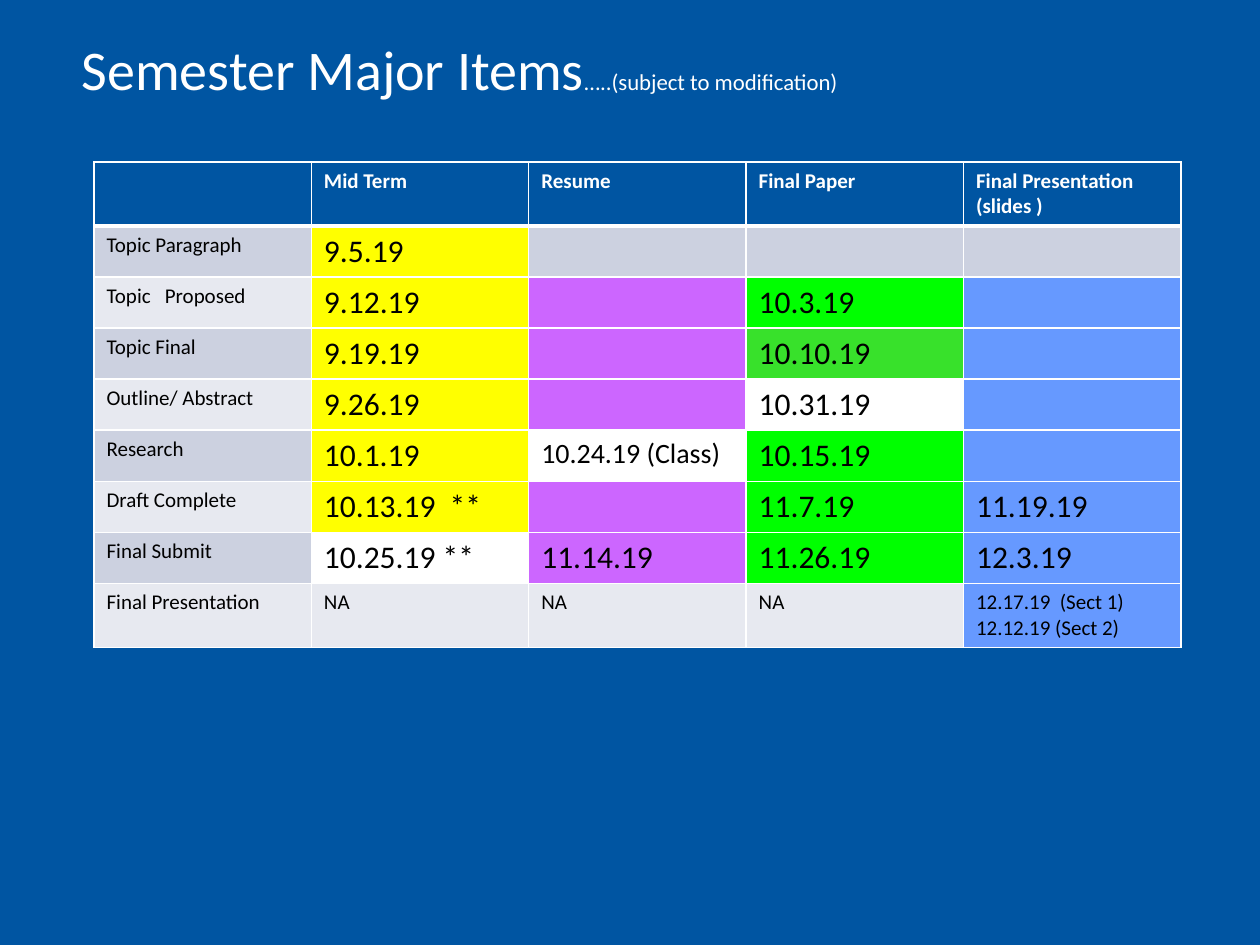
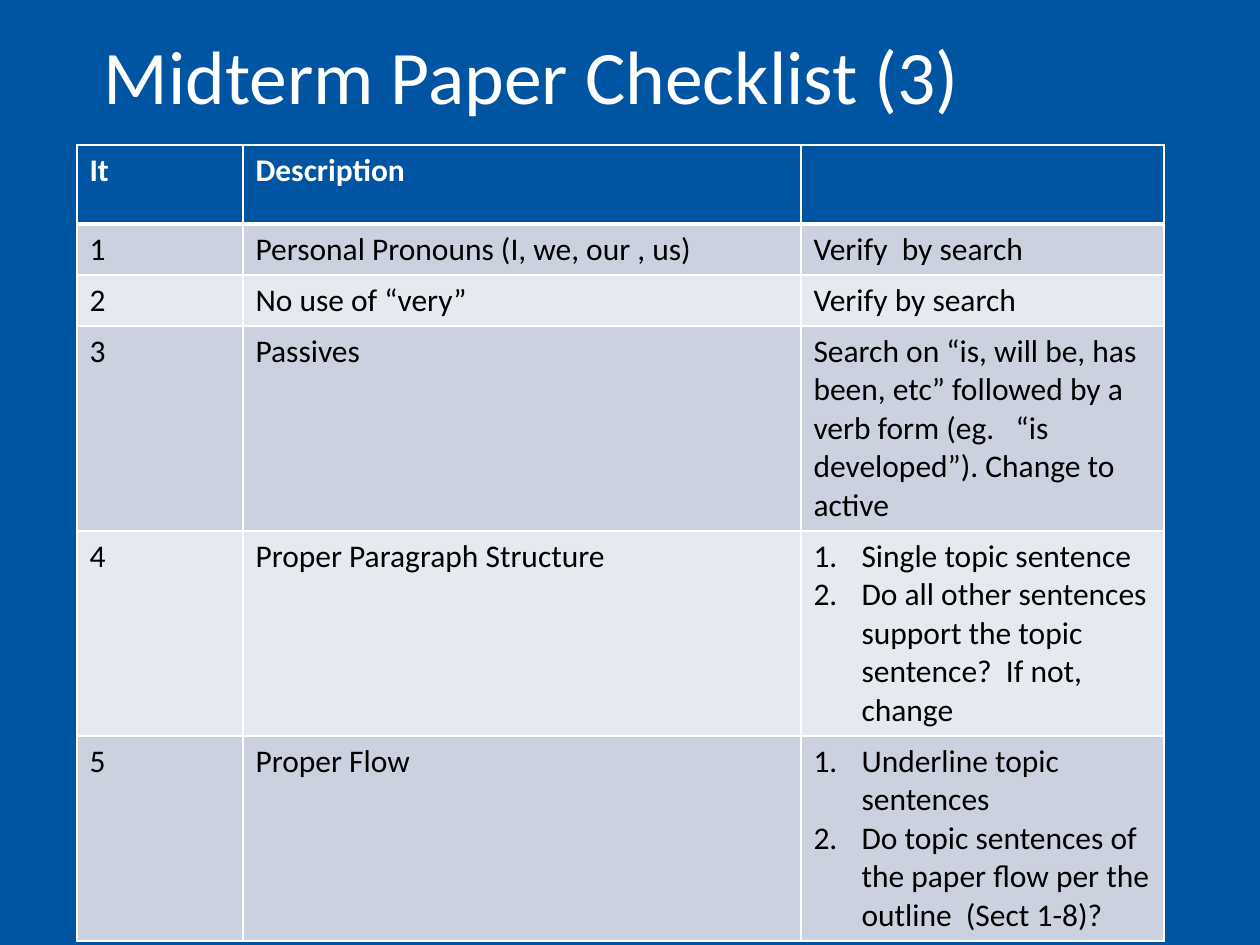
from dataclasses import dataclass

from lxml.etree import SubElement
from pptx import Presentation
from pptx.dml.color import RGBColor
from pptx.enum.text import MSO_ANCHOR as Anchor, MSO_AUTO_SIZE as AutoSize, PP_ALIGN as Align
from pptx.oxml.ns import qn
from pptx.util import Emu, Pt

PX_PER_INCH = 126


@dataclass(frozen=True)
class Theme:
    font: str = "Calibri"
    blue: str = "0055A2"
    white: str = "FFFFFF"
    black: str = "000000"
    bands: tuple = ("CCD1E0", "E7E9F0")
    yellow: str = "FFFF00"
    purple: str = "CC66FF"
    green: str = "00FF00"
    leaf: str = "38E12B"
    sky: str = "6699FF"
    title: float = 32
    large_title: float = 43.2
    aside: float = 13
    body: float = 18
    compact: float = 16
    small: float = 12
    rule: float = 1
    header_rule: float = 3


THEME = Theme()

# Fill codes for the schedule; "-" takes the row's band colour
FILLS = {"y": THEME.yellow, "p": THEME.purple, "g": THEME.green,
         "l": THEME.leaf, "s": THEME.sky, "w": THEME.white}

SCHEDULE_HEADER = ["", "Mid Term", "Resume", "Final Paper", "Final Presentation  (slides )"]
SCHEDULE = [
    ("-y---", ["Topic Paragraph", "9.5.19", "", "", ""]),
    ("-ypgs", ["Topic   Proposed", "9.12.19", "", "10.3.19", ""]),
    ("-ypls", ["Topic Final", "9.19.19", "", "10.10.19", ""]),
    ("-ypws", ["Outline/ Abstract", "9.26.19", "", "10.31.19", ""]),
    ("-ywgs", ["Research", "10.1.19", "10.24.19 (Class)", "10.15.19", ""]),
    ("-ypgs", ["Draft Complete", "10.13.19  **", "", "11.7.19", "11.19.19"]),
    ("-wpgs", ["Final Submit", "10.25.19 **", "11.14.19", "11.26.19", "12.3.19"]),
    ("----s", ["Final Presentation", "NA", "NA", "NA",
               "12.17.19  (Sect 1)\n12.12.19 (Sect 2)"]),
]

CHECKLIST_HEADER = ["It", "Description", ""]
CHECKLIST = [
    ("Personal Pronouns (I, we, our , us)", "Verify  by search"),
    ("No use of “very”", "Verify by search"),
    ("Passives", "Search on “is, will be, has been, etc” followed by a verb form "
                 "(eg.   “is developed”). Change to active"),
    ("Proper Paragraph Structure",
     "Single topic sentence\n"
     "Do all other sentences support the topic sentence?  If not, change"),
    ("Proper Flow",
     "Underline topic sentences\n"
     "Do topic sentences of the paper flow per the outline  (Sect 1-8)?"),
]


def px(length):
    return Emu(round(length * 914400 / PX_PER_INCH))


def write(para, text, size=THEME.body, color=THEME.black, bold=False):
    """Add one formatted span to a paragraph."""
    span = para.add_run()
    span.text = text
    span.font.name = THEME.font
    span.font.size = Pt(size)
    span.font.bold = bold
    span.font.color.rgb = RGBColor.from_string(color)


def number(para, indent=48):
    """Turn a paragraph into an item of a numbered list."""
    props = para._p.get_or_add_pPr()
    props.set("marL", str(px(indent)))
    props.set("indent", str(-px(indent)))
    SubElement(props, qn("a:buAutoNum"), type="arabicPeriod")


def add_borders(cell, top, bottom):
    props = cell._tc.get_or_add_tcPr()
    widths = {"lnL": THEME.rule, "lnR": THEME.rule, "lnT": top, "lnB": bottom}
    for side, width in widths.items():
        line = SubElement(props, qn(f"a:{side}"), w=str(Pt(width)))
        fill = SubElement(line, qn("a:solidFill"))
        SubElement(fill, qn("a:srgbClr"), val=THEME.white)


def fill_cell(cell, text, fill, top=THEME.rule, bottom=THEME.rule, numbered=False, **text_format):
    add_borders(cell, top, bottom)
    cell.fill.solid()
    cell.fill.fore_color.rgb = RGBColor.from_string(fill)
    for index, line in enumerate(text.split("\n") if text else []):
        frame = cell.text_frame
        para = frame.add_paragraph() if index else frame.paragraphs[0]
        if numbered:
            number(para)
        write(para, line, **text_format)


def add_grid(page, left, top, columns, rows, header, header_size):
    """Place an empty table with its blue header row."""
    table = page.shapes.add_table(len(rows), len(columns), px(left), px(top),
                                  px(sum(columns)), px(sum(rows))).table
    table.horz_banding = False
    for column, width in zip(table.columns, columns):
        column.width = px(width)
    for row, height in zip(table.rows, rows):
        row.height = px(height)
    for cell, label in zip(table.rows[0].cells, header):
        fill_cell(cell, label, THEME.blue, bottom=THEME.header_rule,
                  size=header_size, color=THEME.white, bold=True)
    return table


def body_rows(table):
    """Yield each body row's index, cells, band colour and top border."""
    for index in range(len(table.rows) - 1):
        yield (index, table.rows[index + 1].cells, THEME.bands[index % 2],
               THEME.rule if index else THEME.header_rule)


def add_title(page, left, top, *spans):
    title = page.shapes.title
    title.left, title.top, title.width, title.height = map(px, (left, top, 1086, 122))
    frame = title.text_frame
    frame.word_wrap = True
    frame.auto_size = AutoSize.NONE
    frame.vertical_anchor = Anchor.MIDDLE
    para = frame.paragraphs[0]
    para.alignment = Align.LEFT
    para.line_spacing = 0.9
    for text, size in spans:
        write(para, text, size=size, color=THEME.white)


def add_schedule(page, left, top):
    rows = [63] + [51] * 7 + [63]
    table = add_grid(page, left, top, [217.4] * 5, rows, SCHEDULE_HEADER, THEME.small)
    for index, cells, band, border in body_rows(table):
        codes, texts = SCHEDULE[index]
        last_row = index == len(SCHEDULE) - 1
        for column, (cell, code, text) in enumerate(zip(cells, codes, texts)):
            if column == 0 or last_row:
                size = THEME.small
            else:
                size = THEME.compact if "Class" in text else THEME.body
            fill_cell(cell, text, FILLS.get(code, band), top=border, size=size)


def add_checklist(page, left, top):
    rows = [79] + [51] * 2 + [205] * 3
    table = add_grid(page, left, top, [166, 558, 363], rows, CHECKLIST_HEADER, THEME.body)
    for index, cells, band, border in body_rows(table):
        for cell, text in zip(cells, (str(index + 1), *CHECKLIST[index])):
            fill_cell(cell, text, band, top=border, numbered="\n" in text)


def main():
    deck = Presentation()
    deck.slide_width, deck.slide_height = px(1260), px(945)
    background = deck.slide_master.background.fill
    background.solid()
    background.fore_color.rgb = RGBColor.from_string(THEME.blue)
    title_only = deck.slide_layouts[5]

    # Semester schedule
    page = deck.slides.add_slide(title_only)
    add_title(page, 69, 11, ("Semester Major Items", THEME.title),
              ("…..(subject to modification)", THEME.aside))
    add_schedule(page, 94, 162)

    # Midterm checklist
    page = deck.slides.add_slide(title_only)
    add_title(page, 91, 19, ("Midterm Paper Checklist (3)", THEME.large_title))
    add_checklist(page, 77, 145)

    deck.save("out.pptx")


if __name__ == "__main__":
    main()
